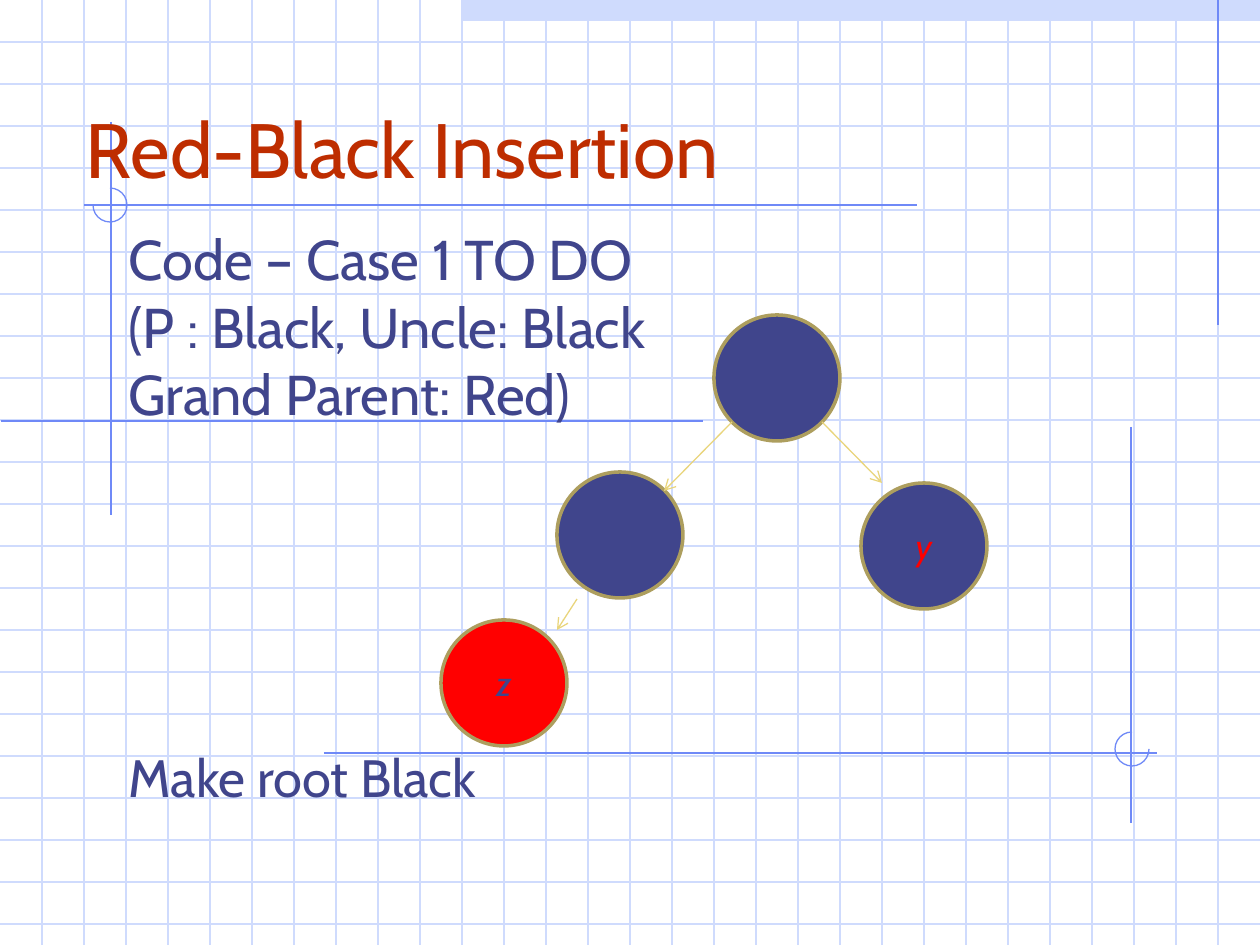
from lxml.etree import SubElement
from pptx import Presentation
from pptx.dml.color import RGBColor
from pptx.enum.shapes import MSO_CONNECTOR as Connector, MSO_SHAPE as Shape
from pptx.enum.text import MSO_ANCHOR as Anchor, MSO_AUTO_SIZE as AutoSize, PP_ALIGN as Align
from pptx.oxml.ns import qn
from pptx.util import Pt

WIDTH, HEIGHT = 1260, 945
GRID_STEP, NODE_SIZE, ARC_SIZE = 42, 126, 34
PALE, BLUE, NAVY, RED = "CFDBFD", "6F89F7", "40458C", "FF0000"
RUST, OLIVE, GOLD = "BE2D00", "AD9E5E", "E9D57C"

HEADING = "Red-Black Insertion"
CASE_LINES = [
    ("Code – Case 1 TO DO", 32, 8),
    ("(P : Black, Uncle: Black", 32, 8),
    ("Grand Parent: Red)", 32, 8),
    ("Make root Black", 30, 189),
]
RULES = [
    (1218, 0, 1218, 325),
    (111, 122, 111, 515),
    (703, 421, 1, 421),
    (917, 205, 84, 205),
    (324, 753, 1157, 753),
    (1131, 427, 1131, 823),
]
ARCS = [(93, 188, 270, 180), (1115, 732, 0, 270)]
NODES = [
    (714, 315, NAVY, "", NAVY),
    (557, 472, NAVY, "", NAVY),
    (861, 483, NAVY, "y", RED),
    (441, 620, RED, "z", NAVY),
]
EDGES = [(732, 422, 664, 491), (822, 422, 882, 483), (577, 599, 557, 630)]


def px(*lengths):
    return [round(length * 914400 / 126) for length in lengths]


def rgb(code):
    return RGBColor.from_string(code)


def write(paragraph, text, size, color, align=Align.LEFT, italic=False, spacing=1.0, before=0):
    paragraph.alignment = align
    paragraph.line_spacing = spacing
    paragraph.space_before = Pt(before)
    run = paragraph.add_run()
    run.text = text
    run.font.name = "Cabin"
    run.font.size = Pt(size)
    run.font.italic = italic
    run.font.color.rgb = rgb(color)


def draw_line(ends, color, arrow=False):
    line = slide.shapes.add_connector(Connector.STRAIGHT, *px(*ends))
    line.line.color.rgb = rgb(color)
    line.line.width = Pt(0.75)
    if arrow:
        SubElement(line.line._get_or_add_ln(), qn("a:tailEnd"), type="arrow")
    SubElement(line._element.spPr, qn("a:effectLst"))


def draw_shape(preset, box, fill=None, outline=None, weight=0.75):
    shape = slide.shapes.add_shape(preset, *px(*box))
    shape.shadow.inherit = False
    if fill:
        shape.fill.solid()
        shape.fill.fore_color.rgb = rgb(fill)
    else:
        shape.fill.background()
    if outline:
        shape.line.color.rgb = rgb(outline)
        shape.line.width = Pt(weight)
    else:
        shape.line.fill.background()
    return shape


def place(placeholder, box, anchor):
    placeholder.left, placeholder.top, placeholder.width, placeholder.height = px(*box)
    frame = placeholder.text_frame
    frame.auto_size = AutoSize.NONE
    frame.word_wrap = True
    frame.vertical_anchor = anchor
    slide.shapes._spTree.append(placeholder._element)
    return frame


deck = Presentation()
deck.slide_width, deck.slide_height = px(WIDTH, HEIGHT)
slide = deck.slides.add_slide(deck.slide_layouts[0])
title, subtitle = slide.placeholders

draw_shape(Shape.RECTANGLE, (462, 0, 798, 21), fill=PALE)
for y in range(GRID_STEP, HEIGHT, GRID_STEP):
    draw_line((0, y, WIDTH, y), PALE)
for x in range(GRID_STEP, WIDTH, GRID_STEP):
    draw_line((x, 0, x, HEIGHT), PALE)
for rule in RULES:
    draw_line(rule, BLUE)
for x, y, *angles in ARCS:
    arc = draw_shape(Shape.ARC, (x, y, ARC_SIZE, ARC_SIZE), outline=BLUE)
    for index, angle in enumerate(angles):
        arc.adjustments[index] = angle * 0.6

heading = place(title, (73, 53, 1071, 147), Anchor.BOTTOM)
write(heading.paragraphs[0], HEADING, 44, RUST)

case = place(subtitle, (116, 231, 1018, 620), Anchor.TOP)
for index, (text, size, before) in enumerate(CASE_LINES):
    paragraph = case.add_paragraph() if index else case.paragraphs[0]
    write(paragraph, text, size, NAVY, spacing=0.8, before=before)

for x, y, fill, label, label_color in NODES:
    node = draw_shape(Shape.OVAL, (x, y, NODE_SIZE, NODE_SIZE), fill, OLIVE, 2)
    if label:
        node.text_frame.vertical_anchor = Anchor.MIDDLE
        write(node.text_frame.paragraphs[0], label, 20, label_color, Align.CENTER, italic=True)
for edge in EDGES:
    draw_line(edge, GOLD, arrow=True)

deck.save("out.pptx")
